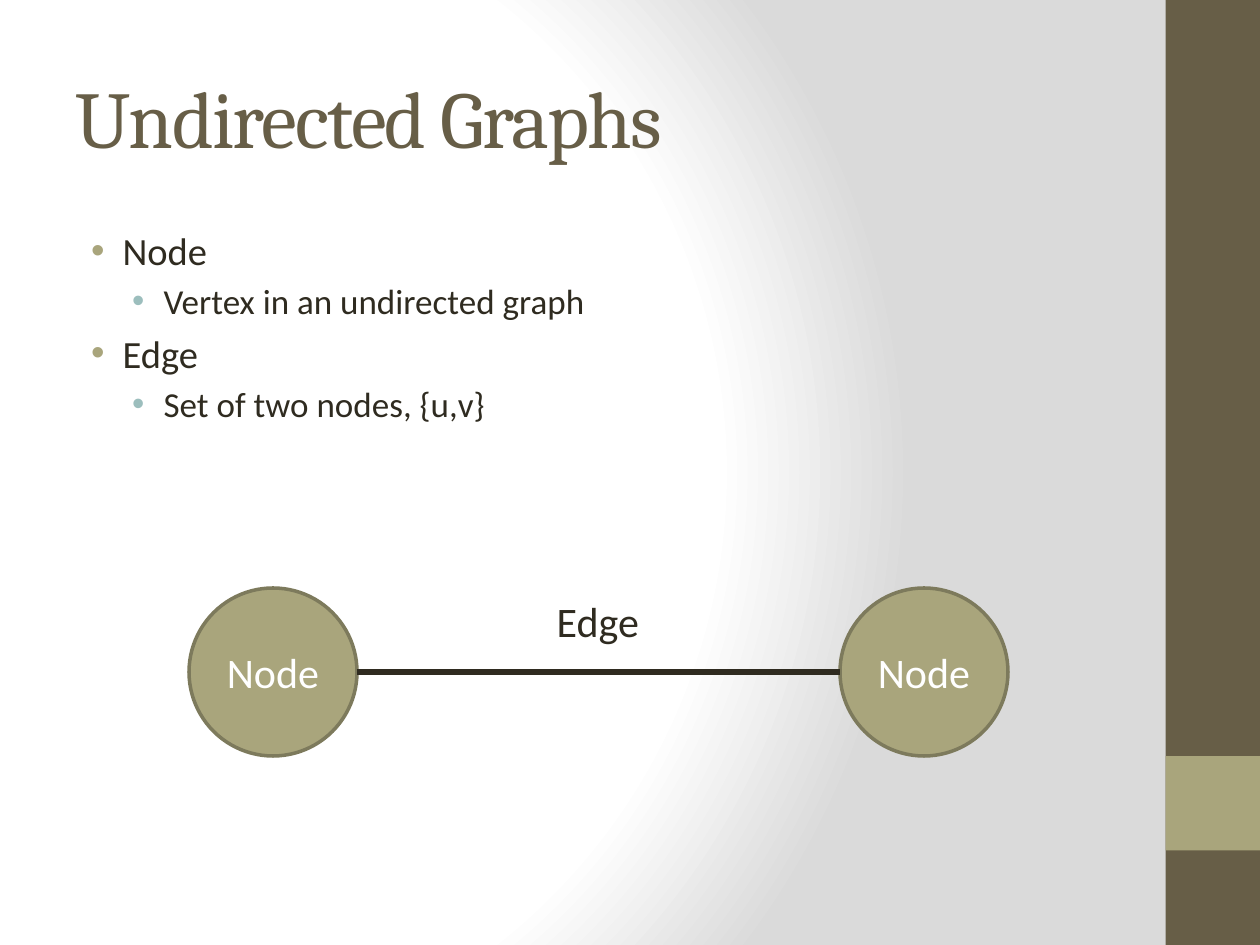
from pptx import Presentation, oxml
from pptx import util as u
from pptx.dml import color as dml
from pptx.enum import shapes, text
from pptx.oxml import ns

THEME = {
    "brown": "675E47", "olive": "A9A57C", "outline": "7D7A5C", "teal": "9CBEBD",
    "ink": "2F2B20", "white": "FFFFFF", "gray": "DADADA",
    "heading": "Cambria", "body": "Calibri",
    "title_size": 46, "label_size": 24, "level_sizes": (22, 20),
}


def rgb(name):
    return dml.RGBColor.from_string(THEME[name])


def write(paragraph, words, size=THEME["label_size"], color="ink", font="body",
          align=text.PP_ALIGN.LEFT, spacing=0):
    paragraph.alignment = align
    run = paragraph.add_run()
    run.text = words
    run.font.size = u.Pt(size)
    run.font.name = THEME[font]
    run.font.color.rgb = rgb(color)
    if spacing:
        run.font._element.set("spc", str(spacing * 100))


presentation = Presentation()
presentation.slide_width, presentation.slide_height = u.Pt(720), u.Pt(540)
slide = presentation.slides.add_slide(presentation.slide_layouts[6])

slide.background.fill.gradient()
gradient = slide.element.find(".//" + ns.qn("a:gradFill"))
stops = "".join(
    f'<a:gs pos="{position * 1000}"><a:srgbClr val="{THEME[name]}"/></a:gs>'
    for position, name in ((0, "white"), (75, "white"), (100, "gray"))
)
gradient.getparent().replace(gradient, oxml.parse_xml(
    f'<a:gradFill {ns.nsdecls("a")} rotWithShape="1"><a:gsLst>{stops}</a:gsLst>'
    '<a:path path="circle"><a:fillToRect l="20000" t="50000" r="100000" b="50000"/>'
    '</a:path></a:gradFill>'
))

for top, height, color in ((0, 540, "brown"), (432, 54, "olive")):
    band = slide.shapes.add_shape(
        shapes.MSO_SHAPE.RECTANGLE, u.Pt(666), u.Pt(top), u.Pt(54), u.Pt(height))
    band.shadow.inherit = False
    band.fill.solid()
    band.fill.fore_color.rgb = rgb(color)
    band.line.fill.background()

title = slide.shapes.add_textbox(u.Pt(36), u.Pt(21.6), u.Pt(600), u.Pt(90)).text_frame
title.word_wrap = True
title.vertical_anchor = text.MSO_ANCHOR.MIDDLE
write(title.paragraphs[0], "Undirected Graphs", size=THEME["title_size"],
      color="brown", font="heading", spacing=-1)

body = slide.shapes.add_textbox(u.Pt(36), u.Pt(126), u.Pt(600), u.Pt(378)).text_frame
body.word_wrap = True
points = (
    (0, "Node"),
    (1, "Vertex in an undirected graph"),
    (0, "Edge"),
    (1, "Set of two nodes, {u,v}"),
)
for index, (level, words) in enumerate(points):
    paragraph = body.add_paragraph() if index else body.paragraphs[0]
    size = THEME["level_sizes"][level]
    write(paragraph, words, size=size)
    paragraph.level = level
    paragraph.space_before = u.Pt(size * 0.2)
    properties = paragraph._p.get_or_add_pPr()
    properties.set("marL", str(u.Pt((27, 50.4)[level])))
    properties.set("indent", str(u.Pt(-18)))
    bullet_color = THEME[("olive", "teal")[level]]
    for bullet_part in (
        f'<a:buClr {ns.nsdecls("a")}><a:srgbClr val="{bullet_color}"/></a:buClr>',
        f'<a:buFont {ns.nsdecls("a")} typeface="Arial"/>',
        f'<a:buChar {ns.nsdecls("a")} char="•"/>',
    ):
        properties.append(oxml.parse_xml(bullet_part))

for left in (108, 480):
    node = slide.shapes.add_shape(
        shapes.MSO_SHAPE.OVAL, u.Pt(left), u.Pt(336), u.Pt(96), u.Pt(96))
    node.shadow.inherit = False
    node.fill.solid()
    node.fill.fore_color.rgb = rgb("olive")
    node.line.color.rgb = rgb("outline")
    node.line.width = u.Pt(2)
    frame = node.text_frame
    frame.margin_left = frame.margin_right = frame.margin_top = frame.margin_bottom = 0
    frame.vertical_anchor = text.MSO_ANCHOR.MIDDLE
    write(frame.paragraphs[0], "Node", color="white", align=text.PP_ALIGN.CENTER)

edge = slide.shapes.add_connector(
    shapes.MSO_CONNECTOR.STRAIGHT, u.Pt(204), u.Pt(384), u.Pt(480), u.Pt(384))
edge.line.color.rgb = rgb("ink")
edge.line.width = u.Pt(3)
edge._element.spPr.append(oxml.parse_xml(f'<a:effectLst {ns.nsdecls("a")}/>'))

label = slide.shapes.add_textbox(u.Pt(311), u.Pt(337), u.Pt(62), u.Pt(36)).text_frame
label.word_wrap = False
label.auto_size = text.MSO_AUTO_SIZE.SHAPE_TO_FIT_TEXT
write(label.paragraphs[0], "Edge")

presentation.save("out.pptx")
